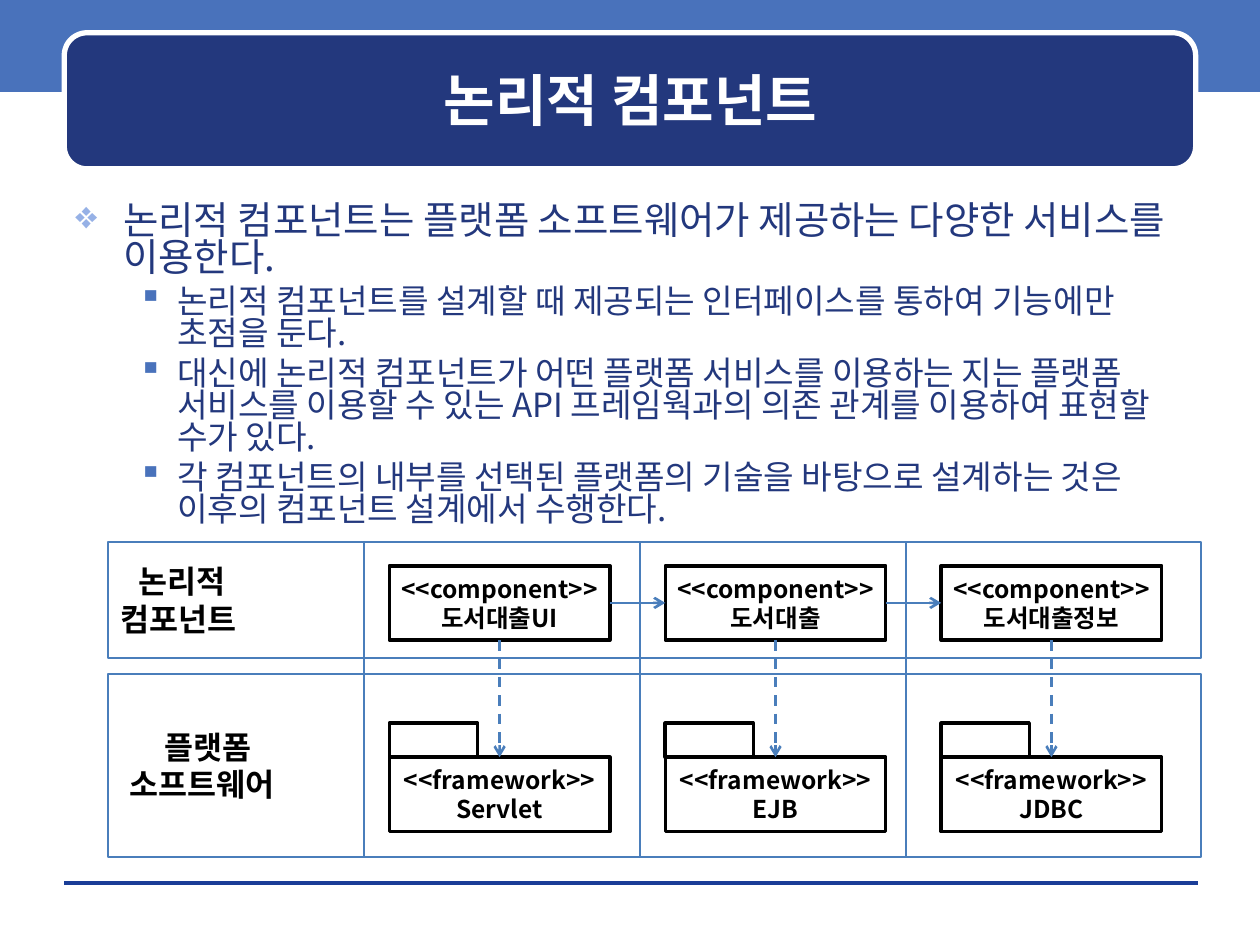
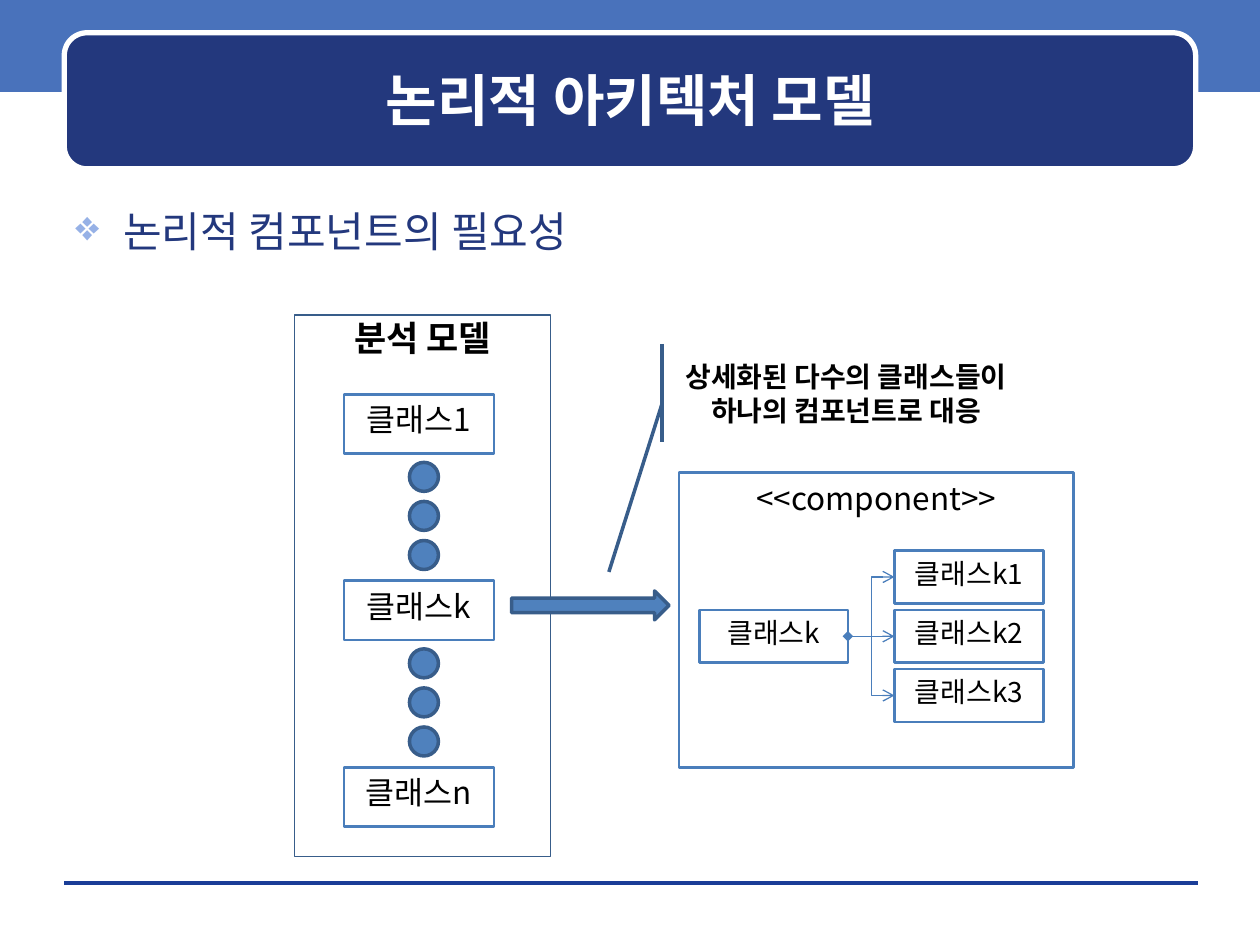
"""Build two slides on logical components and the logical architecture model."""
from lxml.etree import SubElement
from pptx import Presentation
from pptx.dml.color import RGBColor
from pptx.enum.dml import MSO_LINE as Dash
from pptx.enum.shapes import MSO_CONNECTOR as Link, MSO_SHAPE as Shape
from pptx.enum.text import MSO_ANCHOR as Anchor, PP_ALIGN as Align
from pptx.oxml.ns import qn
from pptx.util import Pt

EMU_PER_PX = 9144
FONT = "Noto Sans CJK KR"
WHITE = RGBColor(0xFF, 0xFF, 0xFF)
BLACK = RGBColor(0, 0, 0)
NAVY = RGBColor(0x23, 0x38, 0x7D)
BAND_BLUE = RGBColor(0x49, 0x72, 0xBB)
PALE_BLUE = RGBColor(0x96, 0xB1, 0xE6)
RULE_BLUE = RGBColor(0x1A, 0x3D, 0x97)
LINE_BLUE = RGBColor(0x4A, 0x7E, 0xBB)
FILL_BLUE = RGBColor(0x4F, 0x81, 0xBD)
DARK_BLUE = RGBColor(0x38, 0x5D, 0x8A)

TOP, LEFT, BOTTOM, RIGHT = range(4)
CENTERED = {"alignment": Align.CENTER}
TIGHT = {"alignment": Align.CENTER, "line_spacing": 0.7}
ROW_LABEL = {"alignment": Align.LEFT}


def px(length):
    return length * EMU_PER_PX


class Deck:
    def __init__(self):
        self.presentation = Presentation()
        self.presentation.slide_width = px(1000)
        self.presentation.slide_height = px(750)
        self.slide = None

    def new_slide(self, title):
        layout = self.presentation.slide_layouts[6]
        self.slide = self.presentation.slides.add_slide(layout)
        self.shape((0, 0, 1000, 73), fill=BAND_BLUE)
        self.line((51, 701), (951, 701), RULE_BLUE, 0)
        self.shape((51, 26, 898, 108), Shape.ROUNDED_RECTANGLE, NAVY, WHITE, 3)
        frame = self.text_box((60, 35, 881, 88), Anchor.MIDDLE)
        self.paragraph(frame, title, 32, WHITE, True, CENTERED)

    def shape(self, box, kind=Shape.RECTANGLE, fill=None, line=None, width=1.5, adjustments=()):
        shape = self.slide.shapes.add_shape(kind, *map(px, box))
        shape.shadow.inherit = False
        for index, value in enumerate(adjustments):
            shape.adjustments[index] = value
        if fill is None:
            shape.fill.background()
        else:
            shape.fill.solid()
            shape.fill.fore_color.rgb = fill
        if line is None:
            shape.line.fill.background()
        else:
            shape.line.color.rgb = line
            shape.line.width = Pt(width)
        return shape

    def frame(self, shape, anchor, margins):
        frame = shape.text_frame
        side, edge = map(px, margins)
        settings = {"word_wrap": True, "vertical_anchor": anchor,
                    "margin_left": side, "margin_right": side,
                    "margin_top": edge, "margin_bottom": edge}
        for name, value in settings.items():
            setattr(frame, name, value)
        return frame

    def text_box(self, box, anchor=Anchor.TOP):
        return self.frame(self.slide.shapes.add_textbox(*map(px, box)), anchor, (10, 5))

    def paragraph(self, frame, text, size, color=BLACK, bold=False, layout=None, indent=(0, 0)):
        first = frame.paragraphs[0]
        paragraph = frame.add_paragraph() if first.runs else first
        for name, value in (layout or {}).items():
            setattr(paragraph, name, value)
        properties = paragraph._p.get_or_add_pPr()
        for name, value in zip(("marL", "indent"), indent):
            properties.set(name, str(px(value)))
        run = paragraph.add_run()
        run.text = text
        run.font.color.rgb = color
        for name, value in {"size": Pt(size), "bold": bold, "name": FONT}.items():
            setattr(run.font, name, value)
        SubElement(run._r.get_or_add_rPr(), qn("a:ea"), typeface=FONT)
        return paragraph

    def bullet(self, frame, text, size, level=0, space=6, line_spacing=1.0):
        mark, color, indent = (("❖", PALE_BLUE, (38, -38)), ("▪", BAND_BLUE, (81, -31)))[level]
        layout = {"level": level, "space_before": Pt(space), "line_spacing": line_spacing}
        paragraph = self.paragraph(frame, text, size, NAVY, False, layout, indent)
        properties = paragraph._p.get_or_add_pPr()
        bullet_color = SubElement(properties, qn("a:buClr"))
        SubElement(bullet_color, qn("a:srgbClr"), val=str(color))
        SubElement(properties, qn("a:buChar"), char=mark)

    def label(self, shape, lines, size, bold=False, layout=CENTERED,
              anchor=Anchor.MIDDLE, margins=(10, 5), indents=(0, 0)):
        frame = self.frame(shape, anchor, margins)
        for text, indent in zip(lines, indents):
            self.paragraph(frame, text, size, BLACK, bold, layout, (indent, 0))

    def line(self, start, end, color=LINE_BLUE, width=0.75, kind=Link.STRAIGHT,
             dash=None, head=None, tail=None):
        connector = self.slide.shapes.add_connector(kind, *map(px, start + end))
        connector.line.color.rgb = color
        connector.line.width = Pt(width)
        if dash:
            connector.line.dash_style = dash
        outline = connector.line._get_or_add_ln()
        for name, arrow in (("a:headEnd", head), ("a:tailEnd", tail)):
            if arrow:
                SubElement(outline, qn(name), type=arrow)
        SubElement(connector._element.spPr, qn("a:effectLst"))
        return connector

    def join(self, source, source_side, target, target_side, **style):
        connector = self.line((0, 0), (0, 0), tail="arrow", **style)
        connector.begin_connect(source, source_side)
        connector.end_connect(target, target_side)

    def class_box(self, box, name, size):
        shape = self.shape(box, line=LINE_BLUE)
        self.label(shape, [name], size, layout=TIGHT)
        return shape

    def uml_box(self, left, top, stereotype, name):
        shape = self.shape((left, top, 175, 59), line=BLACK, width=2)
        self.label(shape, [f"<<{stereotype}>>", name], 14, True, margins=(0, 5))
        return shape


def logical_component_slide(deck):
    deck.new_slide("논리적 컴포넌트")
    body = deck.text_box((50, 158, 900, 271))
    deck.bullet(body, "논리적 컴포넌트는 플랫폼 소프트웨어가 제공하는 다양한 서비스를 이용한다.",
                22, 0, 5.5, 0.8)
    for text in (
        "논리적 컴포넌트를 설계할 때 제공되는 인터페이스를 통하여 기능에만 초점을 둔다.",
        "대신에 논리적 컴포넌트가 어떤 플랫폼 서비스를 이용하는 지는 플랫폼 서비스를 이용할 수 있는 "
        "API 프레임웍과의 의존 관계를 이용하여 표현할 수가 있다.",
        "각 컴포넌트의 내부를 선택된 플랫폼의 기술을 바탕으로 설계하는 것은 이후의 컴포넌트 설계에서 수행한다.",
    ):
        deck.bullet(body, text, 19, 1, 4.8, 0.8)

    for top, height, lines, indents in (
        (430, 92, ("논리적", "컴포넌트"), (14, 0)),
        (535, 145, ("플랫폼", "소프트웨어"), (35, 7)),
    ):
        row = deck.shape((86, top, 867, height), line=LINE_BLUE, width=1.25)
        deck.label(row, lines, 18, True, ROW_LABEL, indents=indents)
    for left in (289, 508, 719):
        deck.line((left, 430), (left, 680))

    previous = None
    pairs = (("도서대출UI", "Servlet"), ("도서대출", "EJB"), ("도서대출정보", "JDBC"))
    for column, (component_name, framework_name) in enumerate(pairs):
        left = 309 + 219 * column
        component = deck.uml_box(left, 449, "component", component_name)
        framework = deck.uml_box(left, 601, "framework", framework_name)
        deck.shape((left, 574, 70, 27), line=BLACK, width=2)
        deck.join(component, BOTTOM, framework, TOP, width=1.5, dash=Dash.DASH)
        if previous:
            deck.join(previous, RIGHT, component, LEFT, width=1.5)
        previous = component


def logical_architecture_slide(deck):
    deck.new_slide("논리적 아키텍처 모델")
    deck.bullet(deck.text_box((50, 158, 900, 533)), "논리적 컴포넌트의 필요성", 24)

    component = deck.shape((539, 375, 313, 234), line=LINE_BLUE)
    deck.label(component, ["<<component>>"], 18, anchor=Anchor.TOP)
    model = deck.shape((234, 250, 203, 430), line=DARK_BLUE, width=0.75)
    deck.label(model, ["분석 모델"], 20, True, TIGHT, Anchor.TOP, (0, 10))

    for row, suffix in enumerate("1kn"):
        top = 313 + 148 * row
        deck.class_box((273, top, 119, 47), f"클래스{suffix}", 18)
        if suffix != "n":
            for dot in range(3):
                deck.shape((325, top + 54 + 31 * dot, 23, 23), Shape.OVAL, FILL_BLUE, DARK_BLUE, 2)

    whole = deck.class_box((555, 484, 118, 42), "클래스k", 16)
    for row in range(3):
        part = deck.class_box((710, 437 + 47 * row, 118, 42), f"클래스k{row + 1}", 16)
        deck.join(whole, RIGHT, part, LEFT, kind=Link.ELBOW, head="diamond" if row == 2 else None)

    deck.shape((406, 469, 125, 23), Shape.RIGHT_ARROW, FILL_BLUE, DARK_BLUE, 2)
    callout = deck.shape((531, 273, 281, 78), Shape.LINE_CALLOUT_1_ACCENT_BAR, None, DARK_BLUE, 2,
                         (0.61, -0.02, 2.32, -0.17))
    deck.label(callout, ["상세화된 다수의 클래스들이 하나의 컴포넌트로 대응"], 16, True, margins=(0, 5))


def main():
    deck = Deck()
    logical_component_slide(deck)
    logical_architecture_slide(deck)
    deck.presentation.save("out.pptx")


if __name__ == "__main__":
    main()
